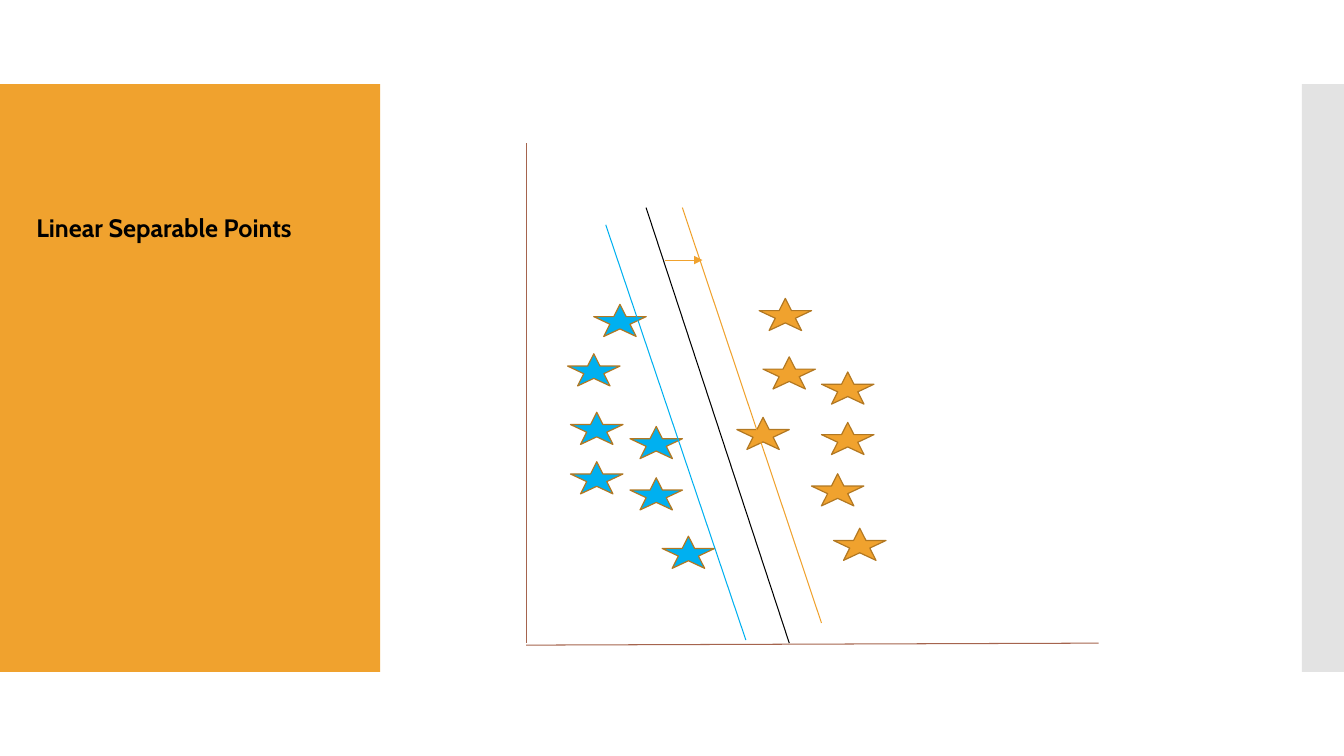
from lxml import etree
from pptx import Presentation
from pptx.dml.color import RGBColor
from pptx.enum import shapes, text
from pptx.oxml import ns
from pptx.util import Pt

HUES = {"orange": "F0A22E", "blue": "00B0F0", "rim": "B27822",
        "axis": "A5644E", "black": "000000", "grey": "C8C8C8"}
TITLE = "Linear Separable Points"
FONT = "Cabin"
WIDE, HIGH = 960, 540
BAND_TOP, BAND_HIGH = 60, 420
PANELS = [("orange", 0, 271.5), ("grey", 930, 30)]  # hue, left, width
AXES = [("axis", 375.8, 102.2, 375.8, 459.4),
        ("axis", 375.8, 460.8, 784.8, 459.4)]
STAR = (37.5, 23)
STARS = {
    "blue": [(407.5, 329.8), (407.5, 294.5), (473, 383), (450, 341.3),
             (450, 304.6), (405.4, 252.7), (424.1, 217.4)],
    "orange": [(526.3, 298.1), (545, 254.9), (579.6, 338.4), (586.8, 301.7),
               (586.8, 265.7), (542.2, 213.1), (595.4, 377.3)],
}
MARGINS = [("black", 461.5, 148.3, 563.8, 459.4),
           ("orange", 487.4, 148.3, 586.8, 445),
           ("blue", 432.7, 160.6, 532.8, 457.2)]
ARROW = ("orange", 475.2, 185.8, 501.8, 185.8)

deck = Presentation()
deck.slide_width, deck.slide_height = Pt(WIDE), Pt(HIGH)
slide = deck.slides.add_slide(deck.slide_layouts[5])
kinds = shapes.MSO_SHAPE


def rgb(hue):
    return RGBColor.from_string(HUES[hue])


def add_form(kind, hue, *box):
    form = slide.shapes.add_shape(kind, *map(Pt, box))
    form.shadow.inherit = False
    form.fill.solid()
    form.fill.fore_color.rgb = rgb(hue)
    form.line.fill.background()
    return form


def add_line(hue, *ends):
    line = slide.shapes.add_connector(shapes.MSO_CONNECTOR.STRAIGHT, *map(Pt, ends))
    line.line.color.rgb = rgb(hue)
    line.line.width = Pt(0.75)
    etree.SubElement(line._element.spPr, ns.qn("a:effectLst"))
    return line


for hue, left, width in PANELS:
    panel = add_form(kinds.RECTANGLE, hue, left, BAND_TOP, width, BAND_HIGH)
    if hue == "grey":
        tint = panel._element.spPr.find(".//" + ns.qn("a:srgbClr"))
        etree.SubElement(tint, ns.qn("a:alpha"), val="50000")

for axis in AXES:
    add_line(*axis)

for hue, spots in STARS.items():
    for spot in spots:
        star = add_form(kinds.STAR_5_POINT, hue, *spot, *STAR)
        star.line.color.rgb = rgb("rim")
        star.line.width = Pt(0.85)

for margin in MARGINS:
    add_line(*margin)
arrow = add_line(*ARROW)
etree.SubElement(arrow.line._get_or_add_ln(), ns.qn("a:tailEnd"), type="triangle")

title = slide.shapes.title
title.left, title.top, title.width, title.height = map(Pt, (18.7, 148.3, 209.5, 28.8))
frame = title.text_frame
frame.word_wrap = True
frame.auto_size = text.MSO_AUTO_SIZE.NONE
frame.vertical_anchor = text.MSO_ANCHOR.TOP
para = frame.paragraphs[0]
para.alignment = text.PP_ALIGN.LEFT
run = para.add_run()
run.text = TITLE
run.font.name, run.font.size, run.font.bold = FONT, Pt(18), True
run.font.color.rgb = rgb("black")
slide.shapes._spTree.append(title._element)  # bring the title in front of its panel

deck.save("out.pptx")
